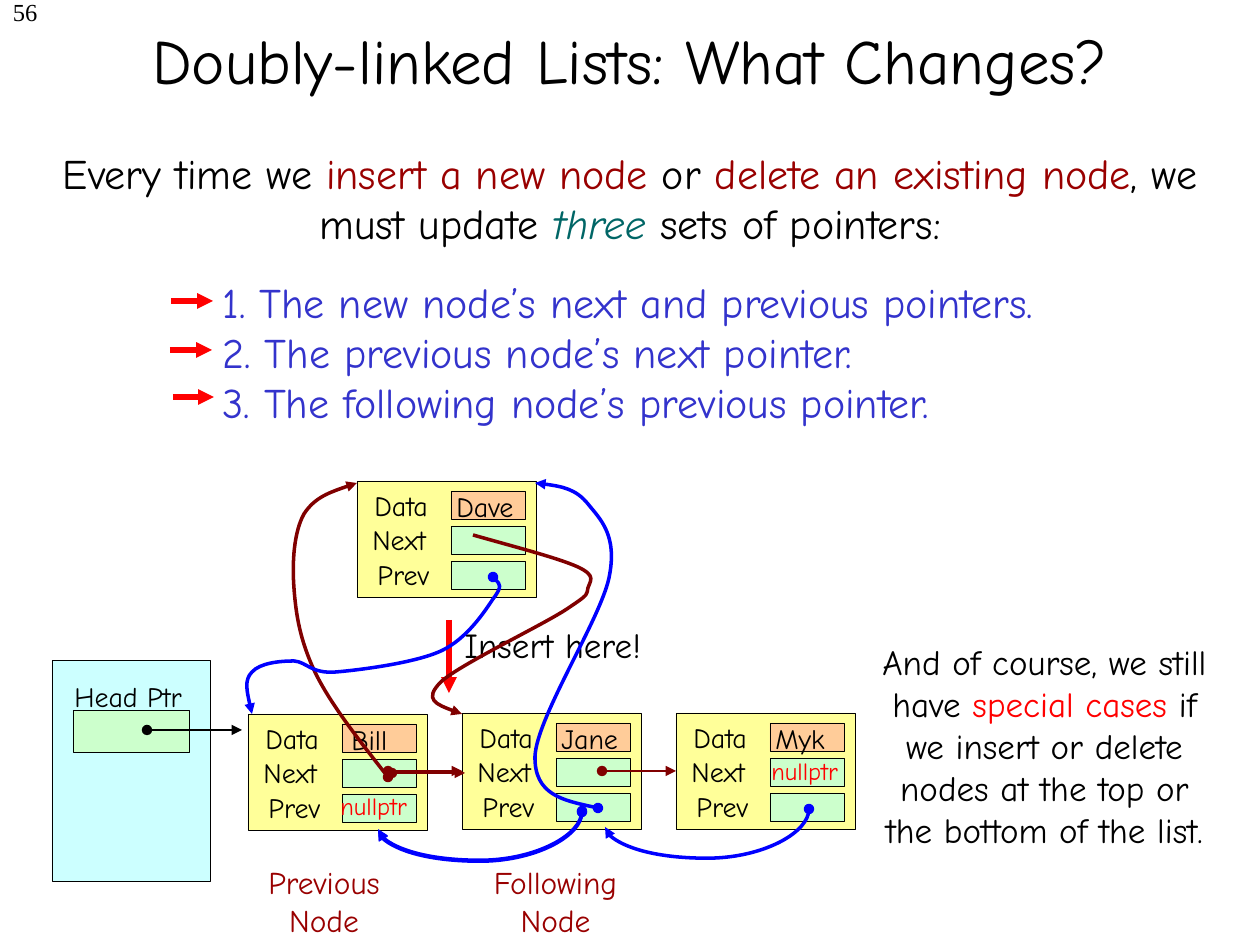
from lxml import etree
from pptx import Presentation, util as u
from pptx.dml.color import RGBColor
from pptx.enum import shapes as s, text as t
from pptx.oxml.ns import qn

PX = 914400 / 126
FONT = "Comic Neue"
HUES = {
    "black": "000000", "red": "FF0000", "blue": "0000FF", "brown": "800000",
    "wine": "990000", "teal": "006666", "indigo": "3333CC",
    "sky": "CCFFFF", "mint": "CCFFCC", "peach": "FFCC99", "lemon": "FFFF99",
}
RGB = {name: RGBColor.from_string(code) for name, code in HUES.items()}

deck = Presentation()
deck.slide_width, deck.slide_height = u.Inches(10), u.Inches(7.5)
slide = deck.slides.add_slide(deck.slide_layouts[6])
page = slide.shapes


def write(home, spot, lines, size, hue="black", align="LEFT", wrap=False):
    """Add a text box; a line is a string or a list of (text, hue) runs."""
    box = home.add_textbox(*[round(n * PX) for n in spot])
    frame = box.text_frame
    frame.word_wrap = wrap
    frame.auto_size = t.MSO_AUTO_SIZE.NONE if wrap else t.MSO_AUTO_SIZE.SHAPE_TO_FIT_TEXT
    for i, line in enumerate(lines):
        para = frame.add_paragraph() if i else frame.paragraphs[0]
        para.alignment = t.PP_ALIGN[align]
        para.font.name, para.font.size = FONT, u.Pt(size)
        para.font.color.rgb = RGB[hue]
        for words, tint in [(line, hue)] if isinstance(line, str) else line:
            run = para.add_run()
            run.text = words
            if tint != hue:
                run.font.color.rgb = RGB[tint]
            if tint == "teal":
                run.font.italic = True
    return box


def ink(item, hue, width, dot=True):
    """Style a line: colour, width, arrowhead and optional starting dot."""
    item.line.color.rgb = RGB[hue]
    item.line.width = u.Pt(width)
    form = item.element.spPr
    stroke = form.find(qn("a:ln"))
    if dot:
        etree.SubElement(stroke, qn("a:headEnd"), type="oval")
    etree.SubElement(stroke, qn("a:tailEnd"), type="triangle")
    etree.SubElement(form, qn("a:effectLst"))


# Page number and title
num = write(page, (0, -9, 50, 63), ["56"], 14, align="RIGHT", wrap=True)
num.text_frame.margin_left = 0
num.text_frame.paragraphs[0].font.name = "Times New Roman"
title = write(page, (21, -20, 1218, 158), ["Doubly-linked Lists: What Changes?"],
              36, align="CENTER", wrap=True)
title.text_frame.vertical_anchor = t.MSO_ANCHOR.MIDDLE

# Explanations
write(page, (42, 141, 1176, 113), [[
    ("Every time we ", "black"), ("insert a new node", "wine"), (" or ", "black"),
    ("delete an existing node", "wine"), (", we must update ", "black"),
    ("three", "teal"), (" sets of pointers:", "black")]], 24, align="CENTER", wrap=True)
write(page, (210, 270, 925, 165), [
    "1. The new node’s next and previous pointers.",
    "2. The previous node’s next pointer.",
    "3. The following node’s previous pointer."], 24, "indigo")
write(page, (861, 634, 367, 267), [[
    ("And of course, we still have ", "black"), ("special cases", "red"),
    (" if we insert or delete nodes at the top or the bottom of the list.", "black")]],
    20, align="CENTER", wrap=True)

# Head pointer and nodes: (x, y, parts), each part a rectangle or a label
parts = [("lemon", 0, 0, 179, 116)]
parts += [(hue, 94, 10 + 35 * i, 74, 28) for i, hue in enumerate(("peach", "mint", "mint"))]
names = [("Data", 5, 1, 87, 47), ("Next", 3, 35, 93, 47), ("Prev", 8, 70, 82, 47)]
blocks = {"Head Ptr": (52, 660, [("sky", 0, 0, 158, 221), ("mint", 21, 50, 116, 42)],
                       [("Head Ptr", 10, 13, 142, 47)])}
for name, x, y, dx in (("Bill", 248, 714, 91), ("Jane", 462, 713, 87),
                       ("Myk", 676, 713, 87), ("Dave", 357, 481, 87)):
    blocks[name] = (x, y, parts, names + [(name, dx, 2, 97, 47)])

frames = {}
for name, (x, y, rects, tags) in blocks.items():
    group = page.add_group_shape().shapes
    for hue, dx, dy, w, h in rects:
        rect = group.add_shape(s.MSO_SHAPE.RECTANGLE,
                               *[round(n * PX) for n in (x + dx, y + dy, w, h)])
        rect.shadow.inherit = False
        rect.fill.solid()
        rect.fill.fore_color.rgb = RGB[hue]
        rect.line.color.rgb = RGB["black"]
        rect.line.width = u.Pt(0.25)
        frames.setdefault(name, rect)
    for tag, dx, dy, w, h in tags:
        write(group, (x + dx, y + dy, w, h), [tag], 16)

# Empty pointers and captions
for x, y in ((759, 750), (328, 785)):
    write(page, (x, y, 102, 43), ["nullptr"], 14, "red")
write(page, (452, 617, 227, 54), ["Insert here!"], 20)
for word, x, w in (("Previous", 251, 146), ("Following", 476, 159)):
    write(page, (x, 857, w, 88), [word, "Node"], 18, "wine", "CENTER")

# Straight arrows: ends, hue, width, dot, node whose left side is joined
for ends, hue, width, dot, goal in (
    ((147, 730, 242, 730), "black", 1.5, True, None),
    ((392, 773, 465, 773), "brown", 1.5, True, None),
    ((388, 771, 462, 771), "brown", 1.5, True, "Jane"),
    ((602, 771, 676, 771), "brown", 1.5, True, "Myk"),
    ((171, 301, 213, 301), "red", 3, False, None),
    ((170, 350, 212, 350), "red", 3, False, None),
    ((173, 397, 214, 397), "red", 3, False, None),
    ((449, 620, 449, 693), "red", 3, False, None),
):
    arrow = page.add_connector(s.MSO_CONNECTOR.STRAIGHT, *[round(n * PX) for n in ends])
    ink(arrow, hue, width, dot)
    if goal:
        arrow.end_connect(frames[goal], 1)

# Curved links back to the previous node, turned a quarter
for x, y in ((698, 716), (471, 718), (471, 719)):
    link = page.add_connector(s.MSO_CONNECTOR.CURVE,
                              *[round(n * PX) for n in (x, y, x + 18, y + 204)])
    link.rotation = 90
    bend = link.element.spPr.find(qn("a:prstGeom")).find(qn("a:avLst"))
    etree.SubElement(bend, qn("a:gd"), name="adj1", fmla="val 273500")
    ink(link, "blue", 2)

# Free curves: a start point, then three points for each Bézier piece
for hue, dot, dots in (
    ("brown", True, [
        (388, 777), (359, 740), (330, 703), (315, 672), (300, 640), (296, 615), (294, 588),
        (292, 562), (294, 532), (304, 514), (315, 497), (336, 490), (357, 483)]),
    ("blue", True, [
        (598, 808), (566, 801), (534, 795), (535, 756), (537, 717), (600, 620), (609, 578),
        (618, 535), (600, 519), (588, 504), (576, 489), (556, 485), (535, 483)]),
    ("brown", False, [
        (473, 535), (515, 547), (558, 558), (578, 567), (597, 576), (590, 581), (588, 588),
        (586, 595), (591, 593), (567, 609), (543, 625), (459, 665), (441, 682),
        (423, 700), (442, 707), (462, 714)]),
    ("blue", True, [
        (493, 577), (498, 582), (503, 586), (493, 599), (485, 611), (467, 639), (441, 651),
        (415, 663), (360, 670), (336, 672), (311, 674), (307, 662), (294, 661),
        (280, 661), (260, 663), (252, 672), (244, 680), (248, 697), (252, 714)]),
):
    pen = page.build_freeform(*dots[0], scale=PX)
    pen.add_line_segments(dots[1:], close=False)
    curve = pen.convert_to_shape()
    curve.fill.background()
    ink(curve, hue, 2, dot)
    track = next(curve.element.iter(qn("a:path")))
    steps = track.findall(qn("a:lnTo"))
    for i in range(0, len(steps), 3):
        piece = etree.SubElement(track, qn("a:cubicBezTo"))
        for step in steps[i:i + 3]:
            piece.append(step[0])
            track.remove(step)

deck.save("out.pptx")
